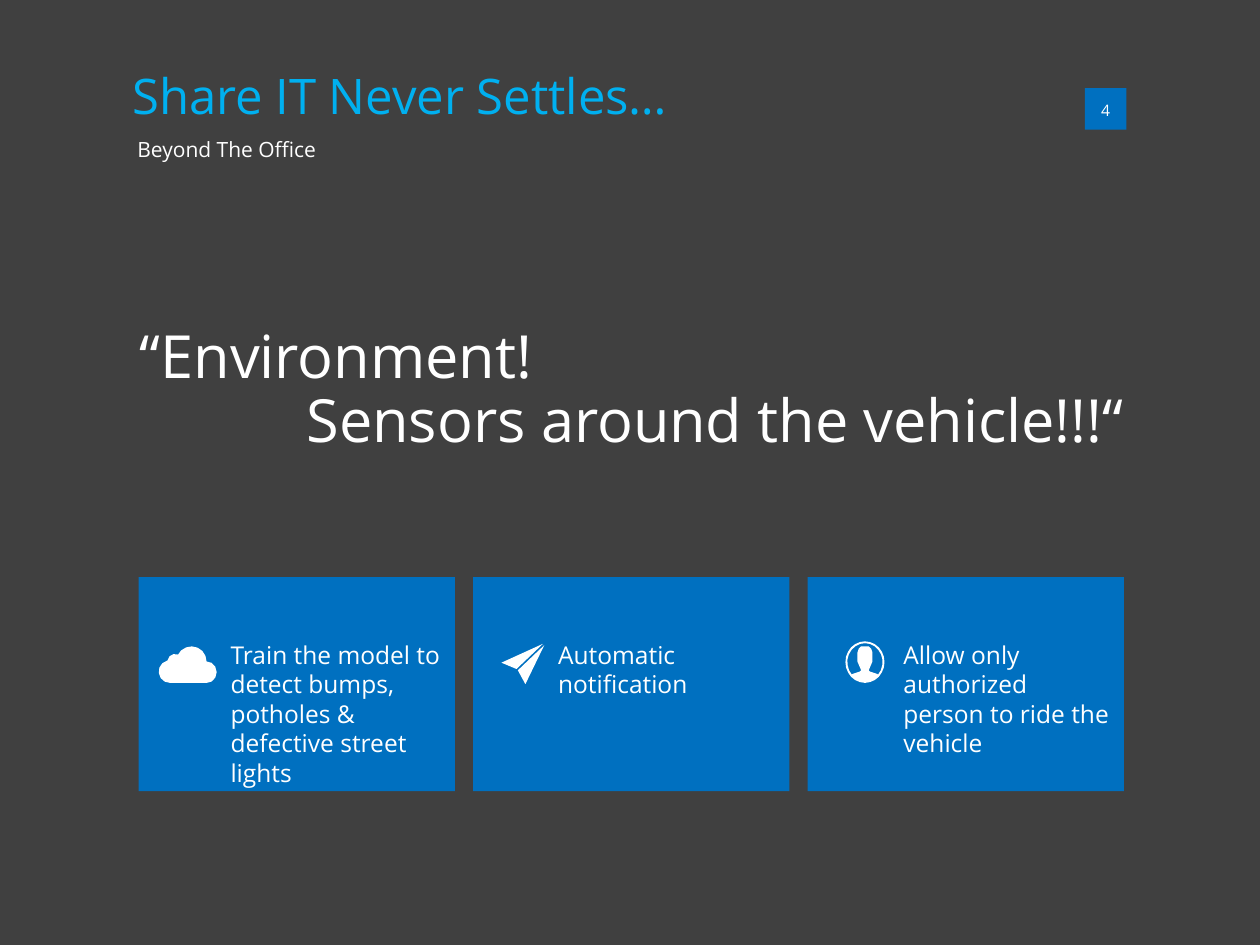
import math
from dataclasses import dataclass

import pptx
import pptx.dml.color
import pptx.enum.shapes
import pptx.enum.text
import pptx.util

Inches = pptx.util.Inches
ALIGN = pptx.enum.text.PP_ALIGN
ANCHOR = pptx.enum.text.MSO_ANCHOR
FIT = pptx.enum.text.MSO_AUTO_SIZE
COLORS = {"back": "404040", "blue": "0070C0", "cyan": "00B0F0", "white": "FFFFFF"}
UNITS = 1000  # freeform units per inch

Point = tuple[float, float]
Outline = list[Point]


@dataclass
class Label:
    lines: list[str]
    box: tuple[float, float, float, float]
    size: int
    color: str = "white"
    aligns: tuple = (None,)
    anchor: ANCHOR = ANCHOR.TOP
    spacing: float | None = None
    wrap: bool = True
    fit: FIT = FIT.NONE


@dataclass
class Card:
    text: str
    text_left: float
    text_width: float
    icons: list[list[Outline]]  # each icon part is a list of closed outlines


def rgb(name: str) -> pptx.dml.color.RGBColor:
    return pptx.dml.color.RGBColor.from_string(COLORS[name])


def paint(sp, color: str) -> None:
    sp.fill.solid()
    sp.fill.fore_color.rgb = rgb(color)
    sp.line.fill.background()
    sp.shadow.inherit = False


def add_box(shapes, left: float, top: float, width: float, height: float) -> None:
    rect = pptx.enum.shapes.MSO_SHAPE.RECTANGLE
    paint(shapes.add_shape(rect, *map(Inches, (left, top, width, height))), "blue")


def add_label(shapes, label: Label) -> None:
    tf = shapes.add_textbox(*map(Inches, label.box)).text_frame
    frame = {"margin_left": 0, "margin_top": 0, "margin_right": 0, "margin_bottom": 0,
             "word_wrap": label.wrap, "vertical_anchor": label.anchor,
             "auto_size": label.fit}
    for key, value in frame.items():
        setattr(tf, key, value)
    font = {"name": "Open Sans", "size": pptx.util.Pt(label.size)}
    for i, (line, align) in enumerate(zip(label.lines, label.aligns)):
        p = tf.paragraphs[0] if i == 0 else tf.add_paragraph()
        p.alignment, p.line_spacing = align, label.spacing
        r = p.add_run()
        r.text = line
        for key, value in font.items():
            setattr(r.font, key, value)
        r.font.color.rgb = rgb(label.color)


def add_icon(shapes, outlines: list[Outline]) -> None:
    builder = None
    for outline in outlines:
        (x, y), *rest = [(round(x * UNITS), round(y * UNITS)) for x, y in outline]
        if builder is None:
            builder = shapes.build_freeform(x, y, scale=Inches(1) / UNITS)
        else:
            builder.move_to(x, y)
        builder.add_line_segments(rest, close=True)
    paint(builder.convert_to_shape(), "white")


def arc(cx: float, cy: float, rx: float, ry: float,
        first: int, last: int, steps: int) -> Outline:
    angles = [math.radians(first + (last - first) * i / steps) for i in range(steps + 1)]
    return [(cx + rx * math.cos(a), cy + ry * math.sin(a)) for a in angles]


# Icon outlines: the cloud is four arcs over a flat base
cloud = (arc(1.35, 5.33, 0.09, 0.09, 90, 255, 6)
         + arc(1.39, 5.25, 0.06, 0.06, 190, 290, 3)
         + arc(1.52, 5.25, 0.12, 0.12, 205, 360, 7)
         + arc(1.64, 5.335, 0.08, 0.085, 270, 450, 6))
left_wing = [(4.31, 5.11), (3.98, 5.26), (4.1, 5.31)]
right_wing = [(4.11, 5.32), (4.17, 5.43), (4.32, 5.12)]

# The person is symmetric: half widths from shoulder to crown, then mirrored
MID_X, MID_Y = 6.865, 5.255
half = [(0.1, 5.35), (0.04, 5.33), (0.03, 5.32), (0.06, 5.25),
        (0.06, 5.18), (0.05, 5.15), (0.03, 5.13)]
person = ([(MID_X + dx, y) for dx, y in half]
          + [(MID_X - dx, y) for dx, y in reversed(half)])
ring = arc(MID_X, MID_Y, 0.155, 0.165, 0, 345, 23)
backdrop = person + arc(MID_X, MID_Y, 0.14, 0.15, 138, 402, 16)

prs = pptx.Presentation()
prs.slide_width, prs.slide_height = Inches(10), Inches(7.5)
s = prs.slides.add_slide(prs.slide_layouts[6])
s.background.fill.solid()
s.background.fill.fore_color.rgb = rgb("back")

# Quote, page number and heading
quote = Label(["“Environment!", "Sensors around the vehicle!!!“"],
              (1.11, 2.27, 7.81, 1.67), 34, aligns=(None, ALIGN.RIGHT),
              anchor=ANCHOR.MIDDLE, spacing=0.9)
page_number = Label(["4"], (8.74, 0.8, 0.07, 0.15), 9, aligns=(ALIGN.CENTER,),
                    anchor=ANCHOR.MIDDLE, wrap=False, fit=FIT.SHAPE_TO_FIT_TEXT)
title = Label(["Share IT Never Settles…"], (1.05, 0.52, 4.76, 0.66), 28, "cyan")
subtitle = Label(["Beyond The Office"], (1.09, 1.08, 6.91, 0.31), 12)

add_label(s.shapes, quote)
add_box(s.shapes, 8.61, 0.7, 0.33, 0.33)
for label in (page_number, title, subtitle):
    add_label(s.shapes, label)

# Card panels
FIRST_LEFT, LAST_LEFT = 1.1, 6.41
for i in range(3):
    add_box(s.shapes, FIRST_LEFT + i * (LAST_LEFT - FIRST_LEFT) / 2, 4.58, 2.51, 1.7)

# Card contents, each a group of text and icon
cards = [
    Card("Train the model to detect bumps,  potholes & defective street lights",
         1.83, 1.77, [[cloud]]),
    Card("Allow only authorized person to ride the vehicle",
         7.17, 1.65, [[ring, backdrop]]),
    Card("Automatic notification", 4.43, 1.73, [[left_wing], [right_wing]]),
]
for card in cards:
    group = s.shapes.add_group_shape()
    add_label(group.shapes,
              Label([card.text], (card.text_left, 5.08, card.text_width, 1.01), 14))
    for outlines in card.icons:
        add_icon(group.shapes, outlines)

prs.save("out.pptx")
